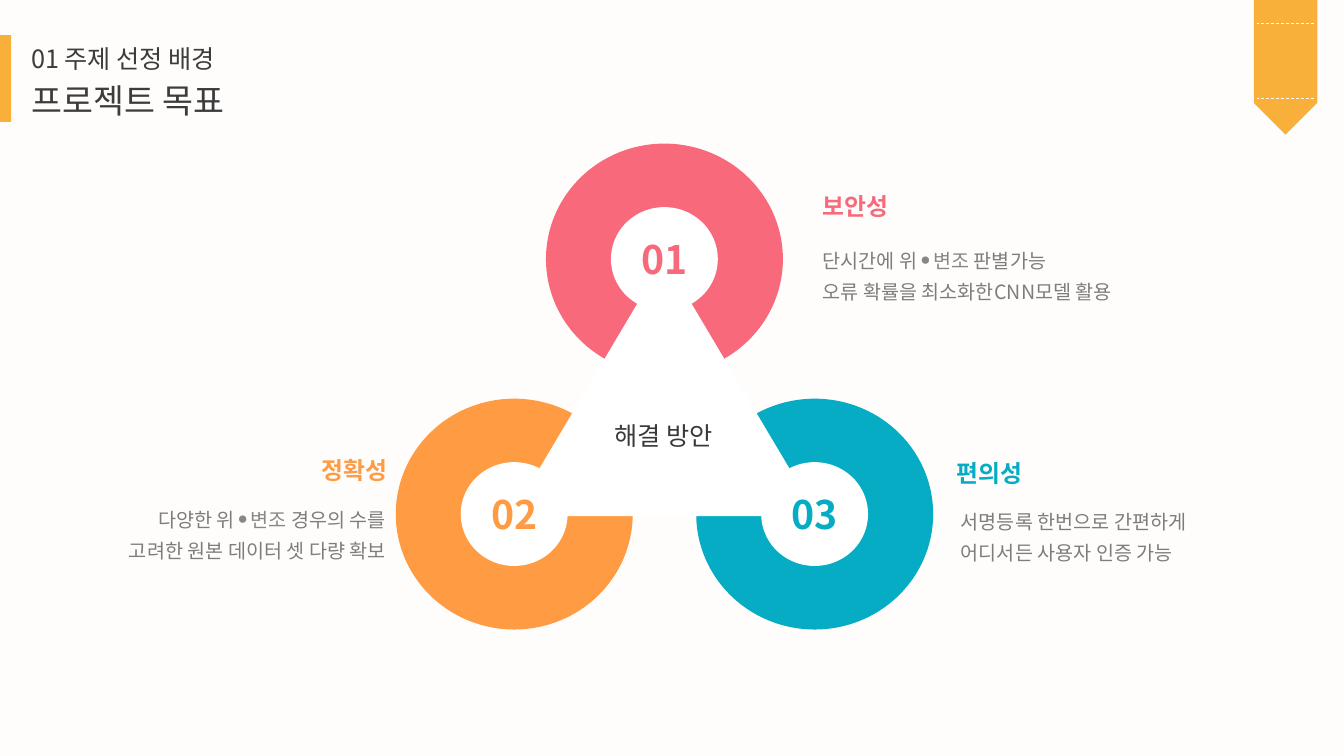
from dataclasses import dataclass

from lxml import etree
from pptx import Presentation
from pptx import util as u
from pptx.dml.color import RGBColor
from pptx.enum import dml, shapes, text
from pptx.oxml import ns


@dataclass(frozen=True)
class Theme:
    font: str = "Noto Sans CJK KR"
    paper: str = "FEFDFC"
    white: str = "FFFFFF"
    ribbon: str = "F8B03A"
    heading: str = "3C3C3C"
    ink: str = "3A3838"
    grey: str = "7F7C7C"
    soft_grey: str = "8A8686"
    pink: str = "F86A7B"
    orange: str = "FF9B43"
    teal: str = "05ACC3"
    title_size: int = 24
    section_size: int = 18
    number_size: int = 28
    goal_size: int = 17
    body_size: int = 14
    dot_size: int = 18


SHAPE = shapes.MSO_SHAPE
ALIGN = text.PP_ALIGN
ANCHOR = text.MSO_ANCHOR
DOT = "∙"


class GoalSlide:
    def __init__(self, deck, theme):
        self.theme = theme
        self.page = deck.slides.add_slide(deck.slide_layouts[5])
        self.page.background.fill.solid()
        self.page.background.fill.fore_color.rgb = RGBColor.from_string(theme.paper)

    def style(self, span, size, color, bold=False):
        span.font.size = u.Pt(size)
        span.font.bold = bold
        span.font.name = self.theme.font
        span.font.color.rgb = RGBColor.from_string(color)
        properties = span._r.get_or_add_rPr()
        east_asian = etree.SubElement(properties, ns.qn("a:ea"))
        east_asian.set("typeface", self.theme.font)

    def shape(self, kind, left, top, width, height, color):
        shape = self.page.shapes.add_shape(
            kind, *map(u.Inches, (left, top, width, height)))
        shape.shadow.inherit = False
        shape.fill.solid()
        shape.fill.fore_color.rgb = RGBColor.from_string(color)
        shape.line.fill.background()
        return shape

    def disc(self, center, width, height, color):
        x, y = center
        return self.shape(SHAPE.OVAL, x - width / 2, y - height / 2, width, height, color)

    def stitch(self, left, right, y):
        line = self.page.shapes.add_connector(
            shapes.MSO_CONNECTOR.STRAIGHT, *map(u.Inches, (right, y, left, y)))
        line.line.color.rgb = RGBColor.from_string(self.theme.white)
        line.line.width = u.Pt(0.5)
        line.line.dash_style = dml.MSO_LINE.DASH
        etree.SubElement(line._element.spPr, ns.qn("a:effectLst"))

    def fit(self, box, margin=0, anchor=ANCHOR.MIDDLE, wrap=True):
        frame = box.text_frame
        frame.auto_size = text.MSO_AUTO_SIZE.NONE
        frame.word_wrap = wrap
        frame.vertical_anchor = anchor
        frame.margin_left = frame.margin_right = u.Inches(margin)
        frame.margin_top = frame.margin_bottom = u.Inches(margin / 2)

    def set_words(self, box, words, size, color, align=ALIGN.LEFT, bold=False):
        box.text_frame.text = words
        para = box.text_frame.paragraphs[0]
        para.alignment = align
        self.style(para.runs[0], size, color, bold)

    def text_box(self, left, top, width, height):
        return self.page.shapes.add_textbox(
            *map(u.Inches, (left, top, width, height)))

    def label(self, place, words, size, color, align=ALIGN.LEFT, bold=False):
        box = self.text_box(*place)
        self.fit(box)
        self.set_words(box, words, size, color, align, bold)

    def header(self, section, title):
        theme = self.theme
        section_box = self.text_box(0.21, 0.38, 2.21, 0.4)
        title_box = self.page.shapes.title
        title_box.left, title_box.top = u.Inches(0.21), u.Inches(0.74)
        title_box.width, title_box.height = u.Inches(2.24), u.Inches(0.5)
        for box, words, size in ((section_box, section, theme.section_size),
                                 (title_box, title, theme.title_size)):
            self.fit(box, margin=0.1, anchor=ANCHOR.TOP, wrap=False)
            self.set_words(box, words, size, theme.heading)

    def details(self, place, lines, align):
        theme = self.theme
        box = self.text_box(*place)
        self.fit(box, anchor=ANCHOR.TOP)
        for index, line in enumerate(lines):
            frame = box.text_frame
            para = frame.add_paragraph() if index else frame.paragraphs[0]
            para.alignment = align
            para.line_spacing = 1.3
            for words, color in line:
                span = para.add_run()
                span.text = words
                size = theme.dot_size if words == DOT else theme.body_size
                self.style(span, size, color)


def main():
    deck = Presentation()
    deck.slide_width, deck.slide_height = u.Inches(13.33), u.Inches(7.5)
    theme = Theme()
    slide = GoalSlide(deck, theme)

    slide.shape(SHAPE.RECTANGLE, 0, 0.35, 0.11, 0.86, theme.ribbon)
    ribbon = slide.shape(SHAPE.PENTAGON, 12.08, 0.35, 1.34, 0.63, theme.ribbon)
    ribbon.rotation = 90
    for y in (0.98, 0.23):
        slide.stitch(12.47, 13.03, y)
    slide.header("01 주제 선정 배경", "프로젝트 목표")

    grey, soft = theme.grey, theme.soft_grey
    goals = [
        ("01", "보안성", theme.pink, (6.59, 2.57), ALIGN.LEFT,
         (8.16, 1.9, 1.85, 0.29), (8.16, 2.32, 3.86, 0.68),
         [[("단시간에 위", grey), (DOT, soft), ("변조 ", soft), ("판별가능", grey)],
          [("오류 확률을 최소화한CNN모델 활용", grey)]]),
        ("02", "정확성", theme.orange, (5.1, 5.1), ALIGN.RIGHT,
         (1.99, 4.52, 1.85, 0.29), (0.91, 4.89, 2.92, 0.99),
         [[("다양한 위", grey), (DOT, soft), ("변조", soft), (" 경우의 수를", grey)],
          [("고려한 원본 데이터 셋 다량 확보", grey)]]),
        ("03", "편의성", theme.teal, (8.08, 5.1), ALIGN.LEFT,
         (9.49, 4.55, 1.65, 0.29), (9.53, 4.99, 3.5, 0.58),
         [[("서명등록 한번으로 간편하게", grey)],
          [("어디서든 사용자 인증 가능", grey)]]),
    ]
    for _, _, color, center, *_ in goals:
        slide.disc(center, 2.35, 2.29, color)
    slide.shape(SHAPE.ISOSCELES_TRIANGLE, 5.07, 2.56, 3.04, 2.56, theme.white)
    for number, name, color, center, align, name_place, details_place, lines in goals:
        hub = slide.disc(center, 1.06, 1.03, theme.white)
        slide.fit(hub)
        slide.set_words(hub, number, theme.number_size, color, ALIGN.CENTER, True)
        slide.label(name_place, name, theme.goal_size, color, align, True)
        slide.details(details_place, lines, align)
    slide.label((5.61, 4.03, 1.95, 0.58), "해결 방안", theme.section_size,
                theme.ink, ALIGN.CENTER)

    deck.save("out.pptx")


if __name__ == "__main__":
    main()
